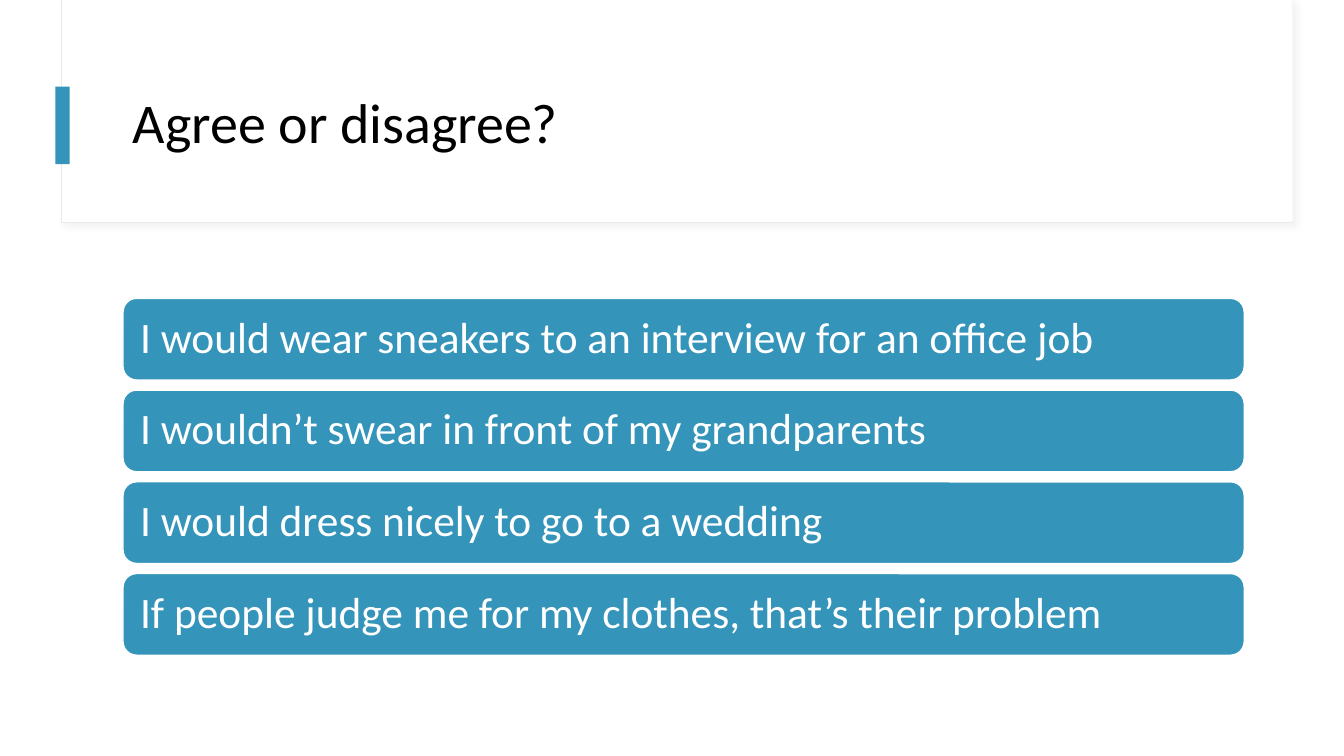
"""Build the "Agree or disagree?" discussion slide."""
import dataclasses
import typing

import lxml.etree
import pptx
import pptx.dml.color
import pptx.enum.shapes
import pptx.enum.text
import pptx.oxml.ns
import pptx.util

PX = 9144
RECTANGLE = pptx.enum.shapes.MSO_SHAPE.RECTANGLE
ROUNDED = pptx.enum.shapes.MSO_SHAPE.ROUNDED_RECTANGLE


@dataclasses.dataclass(frozen=True)
class Theme:
    """Colours, font and type sizes."""
    accent: str = "3494BA"
    white: str = "FFFFFF"
    black: str = "000000"
    frame: str = "EAE9EE"
    shadow: str = "D9D9D9"
    font: str = "Calibri"
    title_size: int = 40
    statement_size: int = 31


class Panel(typing.NamedTuple):
    """A filled shape, measured in px."""
    left: int
    top: int
    width: int
    height: int
    fill: str
    line: str | None = None
    line_width: float = 1
    kind: typing.Any = RECTANGLE


THEME = Theme()
HEADER = Panel(61, 0, 1221, 221, THEME.white, THEME.frame, 0.75)
HEADER_FACE = Panel(62, 0, 1220, 220, THEME.white)
ACCENT_BAR = Panel(55, 86, 14, 77, THEME.accent)
CONTENT_LEFT, CONTENT_WIDTH = 122, 1112
STATEMENT_TOP, STATEMENT_HEIGHT, STATEMENT_PITCH = 296, 81, 91
STATEMENT_INSET = 13
STATEMENTS = (
    "I would wear sneakers to an interview for an office job",
    "I wouldn’t swear in front of my grandparents",
    "I would dress nicely to go to a wedding",
    "If people judge me for my clothes, that’s their problem",
)


def rgb(colour: str) -> pptx.dml.color.RGBColor:
    """Return the colour for a hex string."""
    return pptx.dml.color.RGBColor.from_string(colour)


def draw_panel(page: typing.Any, panel: Panel) -> typing.Any:
    """Draw a panel without a shadow."""
    bounds = (value * PX for value in panel[:4])
    shape = page.shapes.add_shape(panel.kind, *bounds)
    shape.shadow.inherit = False
    shape.fill.solid()
    shape.fill.fore_color.rgb = rgb(panel.fill)
    if panel.line:
        shape.line.color.rgb = rgb(panel.line)
        shape.line.width = pptx.util.Pt(panel.line_width)
    else:
        shape.line.fill.background()
    return shape


def add_soft_shadow(shape: typing.Any) -> None:
    """Give a shape a faint shadow towards the lower right."""
    qn = pptx.oxml.ns.qn
    effects = shape.element.spPr.find(qn("a:effectLst"))
    shadow = lxml.etree.SubElement(
        effects, qn("a:outerShdw"), blurRad=str(pptx.util.Pt(4)),
        dist=str(pptx.util.Pt(3)), dir="2700000", algn="tl", rotWithShape="0")
    colour = lxml.etree.SubElement(shadow, qn("a:srgbClr"), val=THEME.shadow)
    lxml.etree.SubElement(colour, qn("a:alpha"), val="30000")


def write(box: typing.Any, text: str, size: int, colour: str,
          inset: int | None = None) -> None:
    """Write one left-aligned, vertically centred paragraph."""
    frame = box.text_frame
    settings = {"word_wrap": True,
                "vertical_anchor": pptx.enum.text.MSO_ANCHOR.MIDDLE}
    if inset is not None:
        settings |= {f"margin_{side}": inset * PX
                     for side in ("left", "top", "right", "bottom")}
    for name, value in settings.items():
        setattr(frame, name, value)
    para = frame.paragraphs[0]
    para.alignment = pptx.enum.text.PP_ALIGN.LEFT
    para.line_spacing = 0.9
    span = para.add_run()
    span.text = text
    formats = {"name": THEME.font, "size": pptx.util.Pt(size)}
    for name, value in formats.items():
        setattr(span.font, name, value)
    span.font.color.rgb = rgb(colour)


def main() -> None:
    """Build and save the deck."""
    deck = pptx.Presentation()
    deck.slide_width, deck.slide_height = 1333 * PX, 750 * PX
    page = deck.slides.add_slide(deck.slide_layouts[6])

    add_soft_shadow(draw_panel(page, HEADER))
    draw_panel(page, HEADER_FACE)
    draw_panel(page, ACCENT_BAR)
    title = page.shapes.add_textbox(
        CONTENT_LEFT * PX, 60 * PX, CONTENT_WIDTH * PX, 129 * PX)
    write(title, "Agree or disagree?", THEME.title_size, THEME.black)

    for index, statement in enumerate(STATEMENTS):
        top = STATEMENT_TOP + index * STATEMENT_PITCH
        panel = Panel(CONTENT_LEFT, top, CONTENT_WIDTH, STATEMENT_HEIGHT,
                      THEME.accent, THEME.white, kind=ROUNDED)
        write(draw_panel(page, panel), statement, THEME.statement_size,
              THEME.white, STATEMENT_INSET)

    deck.save("out.pptx")


if __name__ == "__main__":
    main()
